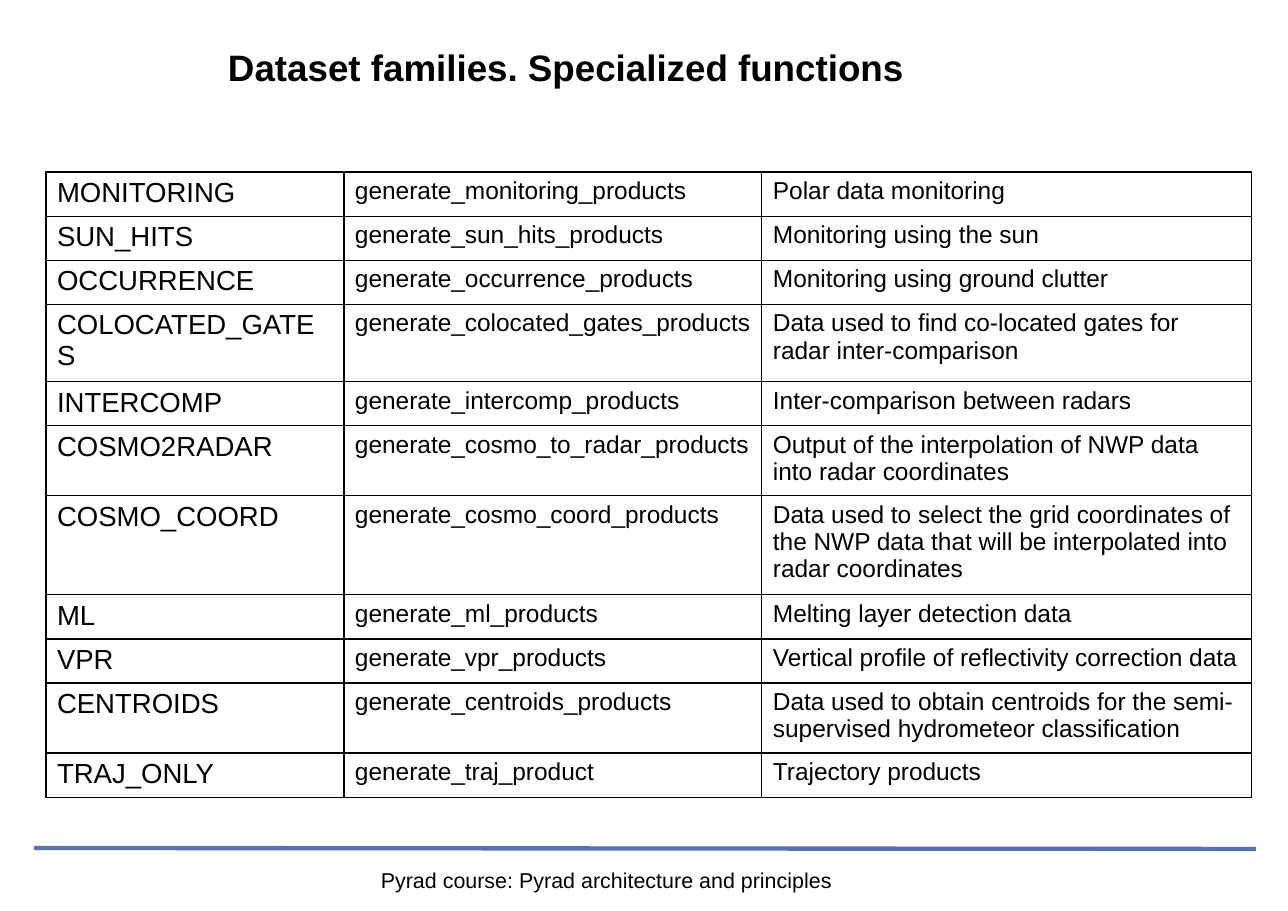
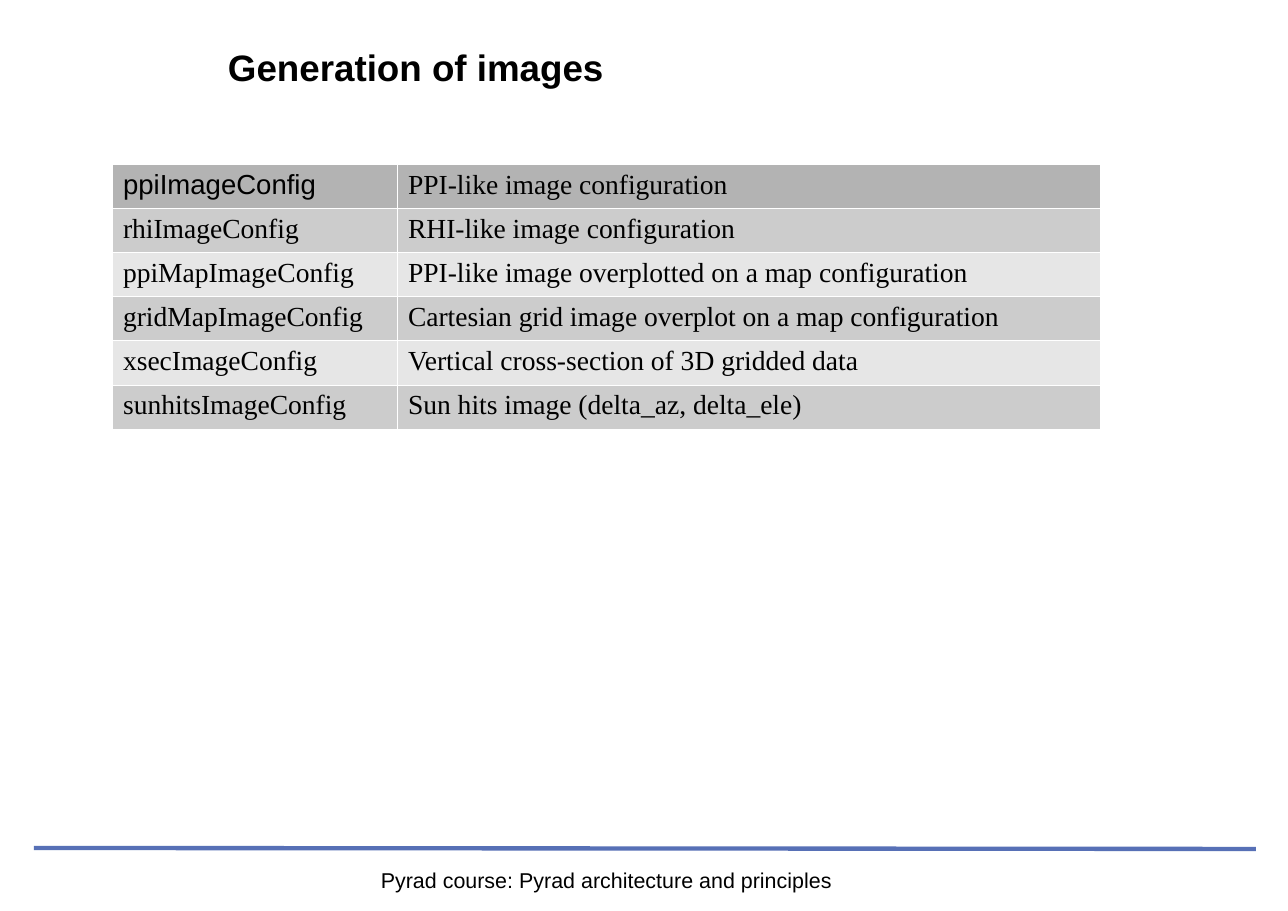
from lxml.etree import SubElement
from pptx import Presentation
from pptx.dml.color import RGBColor
from pptx.enum.shapes import MSO_CONNECTOR
from pptx.enum.text import MSO_ANCHOR, PP_ALIGN
from pptx.oxml import parse_xml
from pptx.oxml.ns import nsdecls, qn
from pptx.util import Pt

SCALE = 8298
SANS, SERIF = "Arial", "Times New Roman"
BLACK, WHITE, BLUE = "000000", "FFFFFF", "5770B6"
HEAD, DARK, LIGHT = "B3B3B3", "CCCCCC", "E6E6E6"
FOOTER = "Pyrad course: Pyrad architecture and principles"
ROW_HEIGHTS = {1: 44, 2: 70, 3: 99}


def px(*values):
    return [v * SCALE for v in values]


def rgb(color):
    return RGBColor.from_string(color)


def write(tf, text, size=18, font=SANS, bold=False, color=BLACK, align=PP_ALIGN.LEFT):
    p = tf.paragraphs[0]
    p.alignment = align
    r = p.add_run()
    r.text = text
    r.font.size = Pt(size)
    r.font.name = font
    r.font.bold = bold
    r.font.color.rgb = rgb(color)


def border(cell, color, width):
    tc_pr = cell._tc.get_or_add_tcPr()
    for i, side in enumerate(("lnL", "lnR", "lnT", "lnB")):
        tc_pr.insert(i, parse_xml(
            f'<a:{side} {nsdecls("a")} w="{Pt(width)}"><a:solidFill>'
            f'<a:srgbClr val="{color}"/></a:solidFill></a:{side}>'))


class Deck:
    def __init__(self):
        self.prs = Presentation()
        self.prs.slide_width, self.prs.slide_height = px(1288, 911)

    def slide(self, title):
        self.s = self.prs.slides.add_slide(self.prs.slide_layouts[6])
        self.line(34, 848, 1256, 849, BLUE, 2.83)
        self.text(228, 30, 1018, 74, title, anchor=MSO_ANCHOR.MIDDLE, size=24, bold=True)
        self.text(164, 867, 885, 43, FOOTER, size=14, align=PP_ALIGN.CENTER)

    def line(self, x1, y1, x2, y2, color, width):
        c = self.s.shapes.add_connector(MSO_CONNECTOR.STRAIGHT, *px(x1, y1, x2, y2))
        c.line.color.rgb = rgb(color)
        c.line.width = Pt(width)
        SubElement(c._element.spPr, qn("a:effectLst"))

    def text(self, x, y, w, h, text, anchor=MSO_ANCHOR.TOP, **fmt):
        tf = self.s.shapes.add_textbox(*px(x, y, w, h)).text_frame
        tf.word_wrap = True
        tf.vertical_anchor = anchor
        tf.margin_left = tf.margin_right = tf.margin_top = tf.margin_bottom = 0
        write(tf, text, **fmt)

    def table(self, x, y, widths, heights, rows, line, style):
        frame = self.s.shapes.add_table(
            len(rows), len(widths), *px(x, y, sum(widths), sum(heights)))
        table = frame.table
        table.first_row = table.horz_banding = False
        for col, w in zip(table.columns, px(*widths)):
            col.width = w
        for row, h in zip(table.rows, px(*heights)):
            row.height = h
        for i, row in enumerate(rows):
            for j, text in enumerate(row):
                cell = table.cell(i, j)
                fill, fmt = style(i, j)
                if fill:
                    cell.fill.solid()
                    cell.fill.fore_color.rgb = rgb(fill)
                else:
                    cell.fill.background()
                border(cell, *line)
                write(cell.text_frame, text, **fmt)


FAMILIES = [
    (1, "MONITORING", "generate_monitoring_products", "Polar data monitoring"),
    (1, "SUN_HITS", "generate_sun_hits_products", "Monitoring using the sun"),
    (1, "OCCURRENCE", "generate_occurrence_products", "Monitoring using ground clutter"),
    (2, "COLOCATED_GATES", "generate_colocated_gates_products",
     "Data used to find co-located gates for radar inter-comparison"),
    (1, "INTERCOMP", "generate_intercomp_products", "Inter-comparison between radars"),
    (2, "COSMO2RADAR", "generate_cosmo_to_radar_products",
     "Output of the interpolation of NWP data into radar coordinates"),
    (3, "COSMO_COORD", "generate_cosmo_coord_products",
     "Data used to select the grid coordinates of the NWP data "
     "that will be interpolated into radar coordinates"),
    (1, "ML", "generate_ml_products", "Melting layer detection data"),
    (1, "VPR", "generate_vpr_products", "Vertical profile of reflectivity correction data"),
    (2, "CENTROIDS", "generate_centroids_products",
     "Data used to obtain centroids for the semi-supervised hydrometeor classification"),
    (1, "TRAJ_ONLY", "generate_traj_product", "Trajectory products"),
]

IMAGES = [
    ("ppiImageConfig", "PPI-like image configuration"),
    ("rhiImageConfig", "RHI-like image configuration"),
    ("ppiMapImageConfig", "PPI-like image overplotted on a map configuration"),
    ("gridMapImageConfig", "Cartesian grid image overplot on a map configuration"),
    ("xsecImageConfig", "Vertical cross-section of 3D gridded data"),
    ("sunhitsImageConfig", "Sun hits image (delta_az, delta_ele)"),
]


def family_style(i, j):
    return None, {"size": 16 if j else 18}


def image_style(i, j):
    fill = HEAD if i == 0 else DARK if i % 2 else LIGHT
    return fill, {"font": SANS if i == j == 0 else SERIF}


def main():
    deck = Deck()
    deck.slide("Dataset families. Specialized functions")
    deck.table(46, 172, (298, 418, 490), [ROW_HEIGHTS[n] for n, *_ in FAMILIES],
               [row for _, *row in FAMILIES], (BLACK, 0.85), family_style)
    deck.slide("Generation of images")
    deck.table(112, 164, (285, 703), [ROW_HEIGHTS[1]] * len(IMAGES),
               IMAGES, (WHITE, 0.06), image_style)
    deck.prs.save("out.pptx")


if __name__ == "__main__":
    main()
